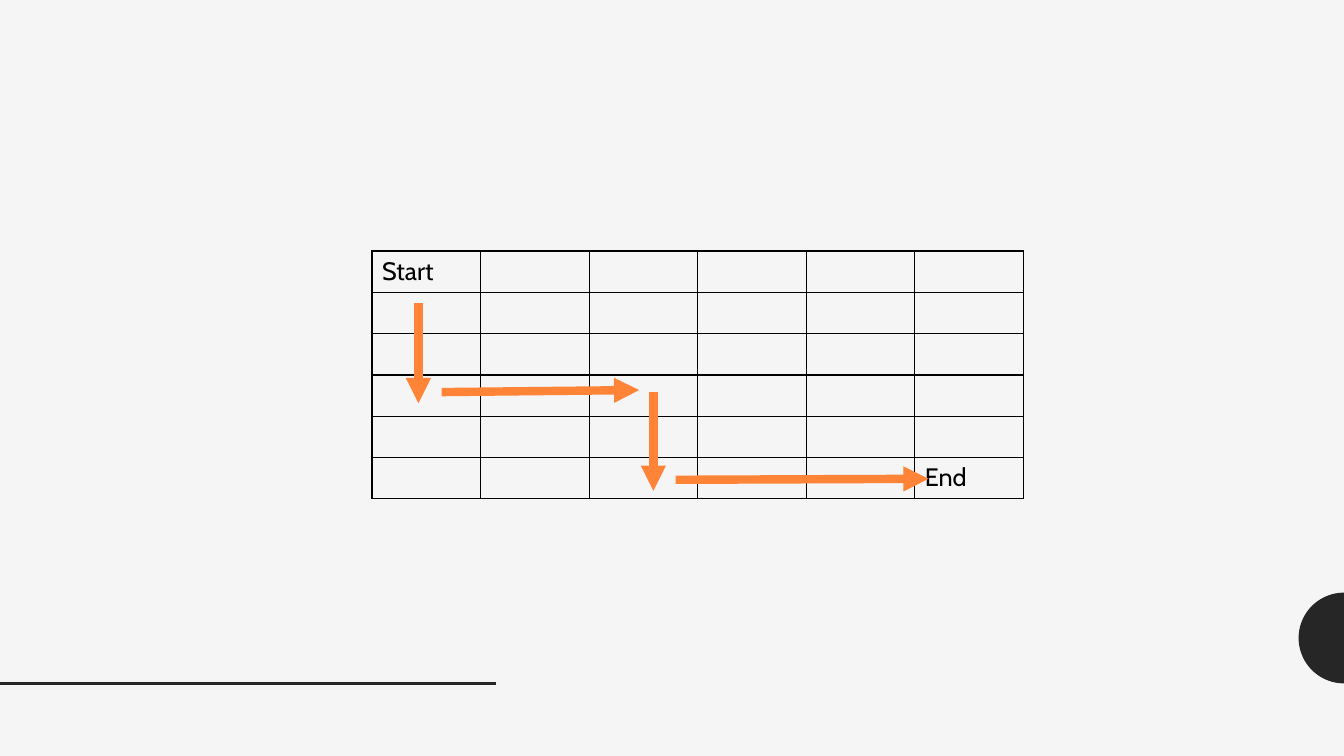
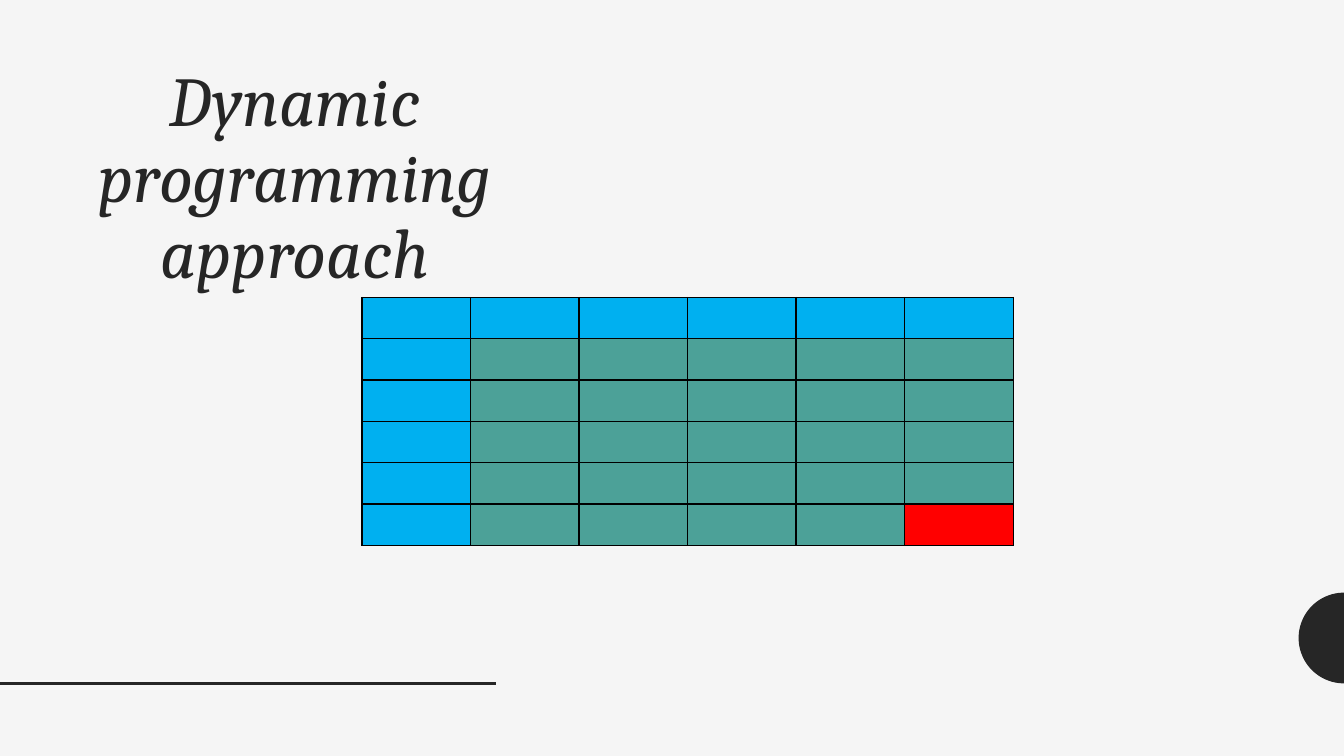
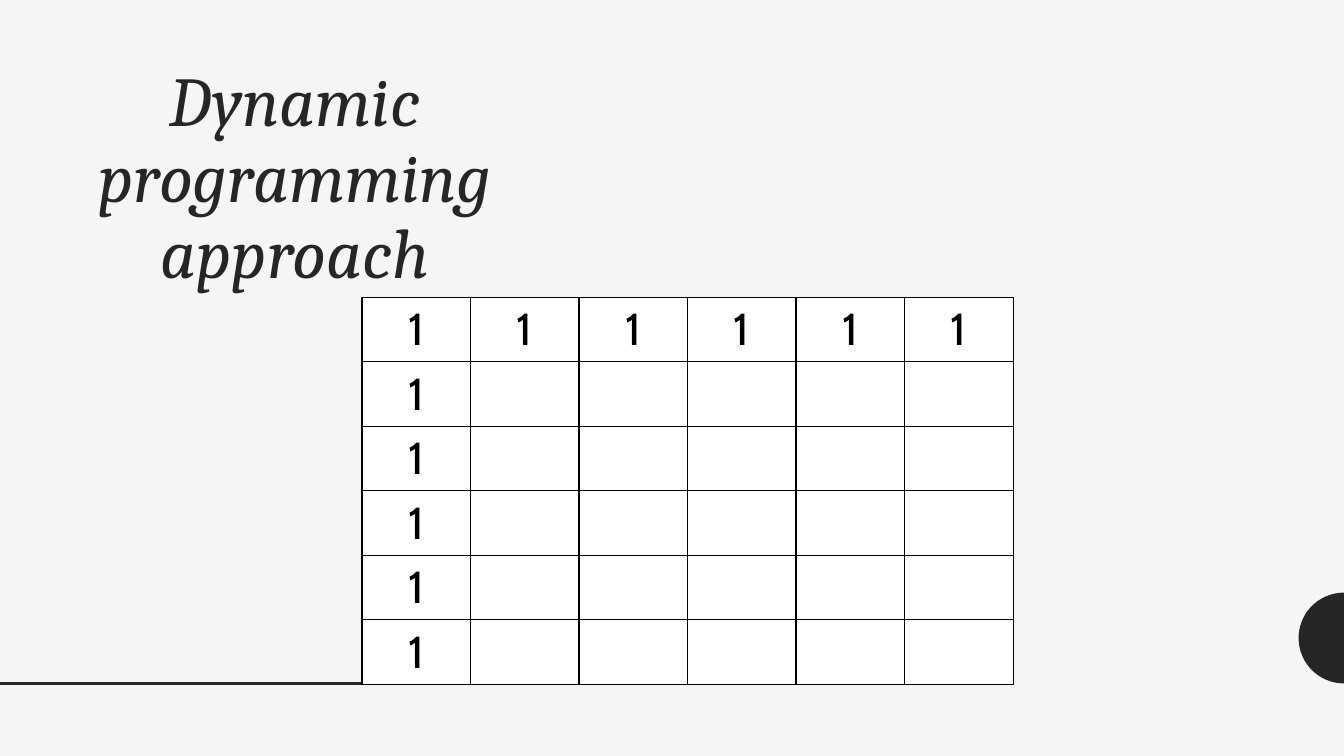
from dataclasses import dataclass
from math import cos, pi, sin

from lxml.etree import SubElement
from pptx import Presentation
from pptx.dml.color import RGBColor
from pptx.enum.shapes import MSO_CONNECTOR as CONN
from pptx.enum.text import MSO_ANCHOR as ANCHOR, PP_ALIGN as ALIGN
from pptx.oxml.ns import qn
from pptx.util import Inches, Pt


@dataclass(frozen=True)
class Theme:
    background: str = "F5F5F5"
    dark: str = "262626"
    black: str = "000000"
    white: str = "FFFFFF"
    arrow: str = "FF8438"
    edge_cell: str = "00B0F0"
    inner_cell: str = "4CA198"
    goal_cell: str = "FF0000"
    title_font: str = "Cambria"
    body_font: str = "Cabin"
    title_size: int = 50
    body_size: int = 18
    number_size: int = 32
    border: int = 1
    rule: int = 2
    arrow_width: int = 6


THEME = Theme()
SLIDE_W, SLIDE_H = 13.33, 7.5
GRID_N = 6
GRID_W = 6.46
TITLE = "Dynamic programming approach"


def rgb(color):
    return RGBColor.from_string(color)


def add_run(p, text, font, size, color, italic=False):
    r = p.add_run()
    r.text = text
    r.font.name = font
    r.font.size = Pt(size)
    r.font.color.rgb = rgb(color)
    r.font.italic = italic


def add_line(s, start, end, color, width, arrow=False):
    points = [Inches(v) for v in (*start, *end)]
    line = s.shapes.add_connector(CONN.STRAIGHT, *points)
    line.line.color.rgb = rgb(color)
    line.line.width = Pt(width)
    if arrow:
        SubElement(line.line._get_or_add_ln(), qn("a:tailEnd"), type="triangle")
    SubElement(line._element.spPr, qn("a:effectLst"))


def add_half_disc(s, cx, cy, radius, steps=48):
    angles = [pi / 2 + pi * i / steps for i in range(steps + 1)]
    points = [(Inches(cx + radius * cos(a)), Inches(cy + radius * sin(a)))
              for a in angles]
    outline = s.shapes.build_freeform(*points[0])
    outline.add_line_segments(points[1:], close=True)
    sp = outline.convert_to_shape()
    sp.shadow.inherit = False
    sp.fill.solid()
    sp.fill.fore_color.rgb = rgb(THEME.dark)
    sp.line.fill.background()


def add_base_slide(prs):
    s = prs.slides.add_slide(prs.slide_layouts[6])
    s.background.fill.solid()
    s.background.fill.fore_color.rgb = rgb(THEME.background)
    add_half_disc(s, SLIDE_W, 6.33, 0.45)
    add_line(s, (0, 6.78), (4.92, 6.78), THEME.dark, THEME.rule)
    return s


def add_title(s, text):
    sp = s.shapes.add_textbox(Inches(0.83), Inches(0.61), Inches(4.19), Inches(5.42))
    tf = sp.text_frame
    tf.word_wrap = True
    tf.vertical_anchor = ANCHOR.TOP
    p = tf.paragraphs[0]
    p.alignment = ALIGN.CENTER
    p.line_spacing = 0.9
    add_run(p, text, THEME.title_font, THEME.title_size, THEME.dark, italic=True)


def set_borders(cell):
    tcPr = cell._tc.get_or_add_tcPr()
    for side in ("L", "R", "T", "B"):
        ln = SubElement(tcPr, qn(f"a:ln{side}"), w=str(Pt(THEME.border)))
        fill = SubElement(ln, qn("a:solidFill"))
        SubElement(fill, qn("a:srgbClr"), val=THEME.black)


def add_grid(s, left, top, row_h, text_at, fill_at, size, align=ALIGN.LEFT):
    frame = s.shapes.add_table(GRID_N, GRID_N, Inches(left), Inches(top),
                               Inches(GRID_W), Inches(row_h * GRID_N))
    table = frame.table
    table.first_row = False
    table.horz_banding = False
    for row in range(GRID_N):
        for col in range(GRID_N):
            cell = table.cell(row, col)
            set_borders(cell)
            color = fill_at(row, col)
            if color:
                cell.fill.solid()
                cell.fill.fore_color.rgb = rgb(color)
            else:
                cell.fill.background()
            text = text_at(row, col)
            if text:
                p = cell.text_frame.paragraphs[0]
                p.alignment = align
                add_run(p, text, THEME.body_font, size, THEME.black)


def on_edge(row, col):
    return row == 0 or col == 0


def state_color(row, col):
    if on_edge(row, col):
        return THEME.edge_cell
    if row == col == GRID_N - 1:
        return THEME.goal_cell
    return THEME.inner_cell


def build_route_slide(prs):
    s = add_base_slide(prs)
    labels = {(0, 0): "Start", (GRID_N - 1, GRID_N - 1): "End"}
    add_grid(s, 3.69, 2.49, 0.41, lambda row, col: labels.get((row, col)),
             lambda row, col: None, THEME.body_size)
    route = [((4.15, 3.01), (4.15, 4)), ((4.38, 3.89), (6.34, 3.87)),
             ((6.48, 3.89), (6.48, 4.87)), ((6.7, 4.76), (9.21, 4.75))]
    for start, end in route:
        add_line(s, start, end, THEME.arrow, THEME.arrow_width, arrow=True)


def build_states_slide(prs):
    s = add_base_slide(prs)
    add_title(s, TITLE)
    add_grid(s, 3.59, 2.95, 0.41, lambda row, col: None, state_color,
             THEME.body_size)


def build_base_case_slide(prs):
    s = add_base_slide(prs)
    add_title(s, TITLE)
    add_grid(s, 3.59, 2.95, 0.64,
             lambda row, col: "1" if on_edge(row, col) else None,
             lambda row, col: THEME.white, THEME.number_size, ALIGN.CENTER)


def main():
    prs = Presentation()
    prs.slide_width = Inches(SLIDE_W)
    prs.slide_height = Inches(SLIDE_H)
    build_route_slide(prs)
    build_states_slide(prs)
    build_base_case_slide(prs)
    prs.save("out.pptx")


main()
